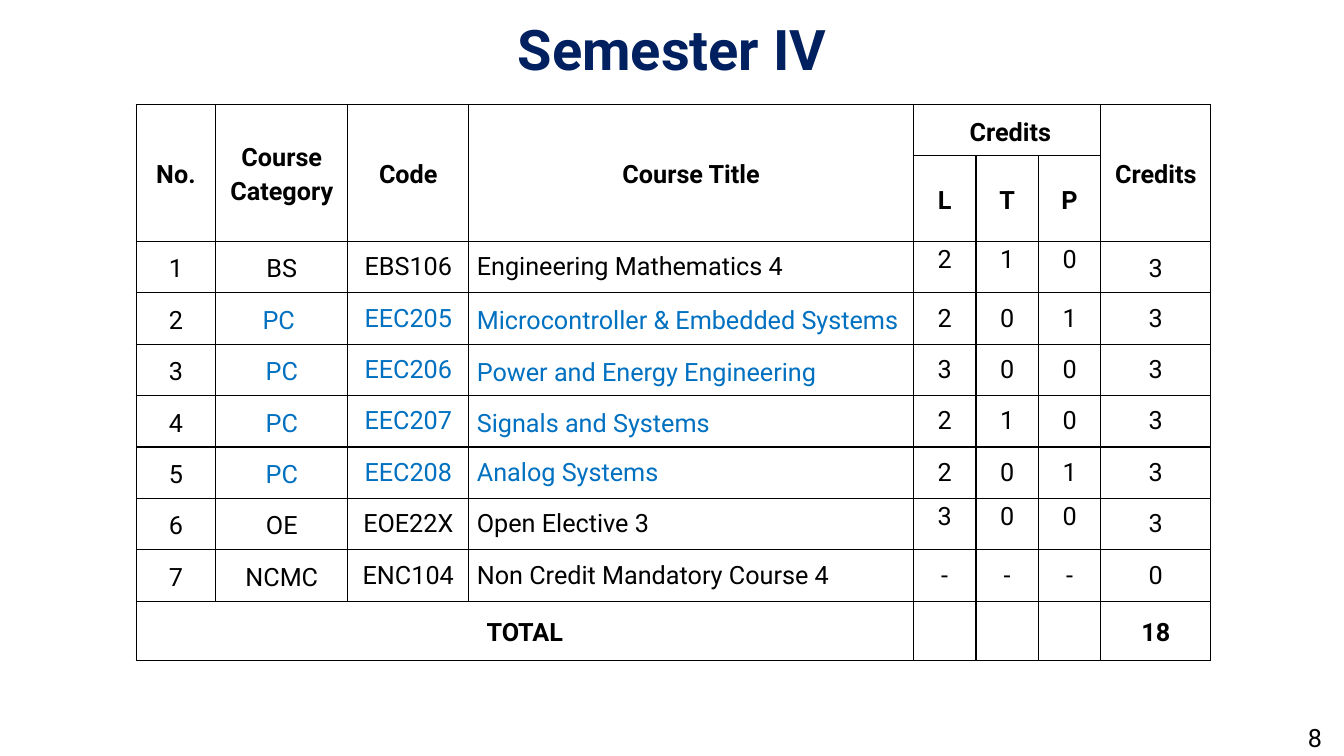
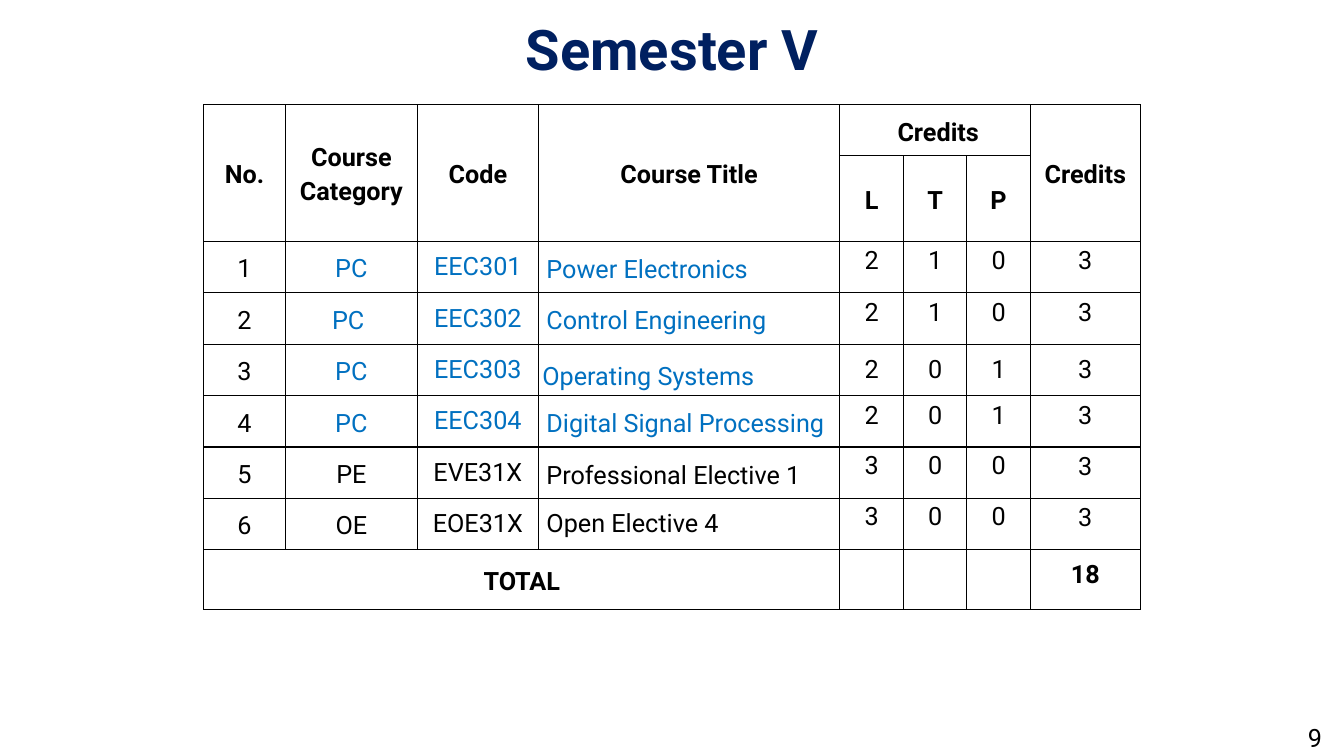
"""Build the course tables for two semesters."""
from lxml import etree
from pptx import Presentation, util as u
from pptx.dml.color import RGBColor
from pptx.enum import text
from pptx.oxml import ns

FONT, BLACK, WHITE, NAVY, BLUE = "Roboto", "000000", "FFFFFF", "002060", "0070C0"
LEFT, MID, RIGHT = text.PP_ALIGN.LEFT, text.PP_ALIGN.CENTER, text.PP_ALIGN.RIGHT
CENTER, BASE = text.MSO_ANCHOR.MIDDLE, text.MSO_ANCHOR.BOTTOM
WIDE, TIGHT, SNUG, FULL = 1.15, u.Pt(11.2), u.Pt(12.8), None
PAD, HEAD, ROW, FOOT = 0.08, [0.49, 0.83], 0.51, 0.59
TITLES = ["No.", "Course\nCategory", "Code", "Course Title", " Credits", "", "", "Credits"]


def tint(code):
    """Return the colour of a hex string."""
    return RGBColor.from_string(code)


def assign(item, **values):
    """Set each named attribute of an item."""
    for name, value in values.items():
        setattr(item, name, value)


class Deck:
    """Hold the style and the current slide."""

    def __init__(self):
        """Start a wide presentation."""
        self.show = Presentation()
        assign(self.show, slide_width=u.Inches(13.33), slide_height=u.Inches(7.5))

    def page(self, title, number):
        """Add a slide with its title and number."""
        self.slide = self.show.slides.add_slide(self.show.slide_layouts[5])
        head = self.slide.shapes.title
        self.place(head, 0, 0, 13.33, 1.04)
        assign(head.text_frame, vertical_anchor=CENTER, word_wrap=True,
               auto_size=text.MSO_AUTO_SIZE.NONE)
        self.label(head.text_frame, title, 40, NAVY, True, MID, 0.9)
        box = self.slide.shapes.add_textbox(0, 0, 0, 0)
        self.place(box, 10.21, 7.12, 3, 0.4)
        box.text_frame.word_wrap = True
        self.label(box.text_frame, str(number), align=RIGHT)

    def place(self, shape, left, top, width, height):
        """Move and size a shape in inches."""
        assign(shape, left=u.Inches(left), top=u.Inches(top),
               width=u.Inches(width), height=u.Inches(height))

    def label(self, frame, words, size=18, color=BLACK, bold=False, align=MID, gap=FULL):
        """Fill a text frame, one paragraph a line."""
        frame.text = words
        for para in frame.paragraphs:
            assign(para, alignment=align, line_spacing=gap)
            for font in [para.font] + [run.font for run in para.runs]:
                assign(font, name=FONT, size=u.Pt(size), bold=bold)
                font.color.rgb = tint(color)

    def border(self, cell):
        """Draw a thin black line on each side of a cell."""
        props = cell._tc.get_or_add_tcPr()
        for side in ("a:lnL", "a:lnR", "a:lnT", "a:lnB"):
            line = etree.SubElement(props, ns.qn(side), w=str(u.Pt(1)))
            fill = etree.SubElement(line, ns.qn("a:solidFill"))
            etree.SubElement(fill, ns.qn("a:srgbClr"), val=BLACK)

    def fill(self, cell, words, pad=PAD, anchor=CENTER, **style):
        """Fill a table cell with styled words."""
        side = u.Inches(pad)
        assign(cell, vertical_anchor=anchor, margin_left=side, margin_right=side,
               margin_top=side, margin_bottom=side)
        self.label(cell.text_frame, words, **style)

    def table(self, left, widths, rows, total):
        """Add a course table with merged header and total."""
        tall = HEAD + [ROW] * len(rows) + [FOOT]
        grid = self.slide.shapes.add_table(
            len(tall), len(widths), u.Inches(left), u.Inches(1.04),
            u.Inches(sum(widths)), u.Inches(sum(tall))).table
        assign(grid, first_row=False, horz_banding=False)
        for col, width in zip(grid.columns, widths):
            col.width = u.Inches(width)
        for row, height in zip(grid.rows, tall):
            row.height = u.Inches(height)
        for cell in grid.iter_cells():
            self.border(cell)
            cell.fill.solid()
            cell.fill.fore_color.rgb = tint(WHITE)
        last = len(tall) - 1
        for col in (0, 1, 2, 3, 7):
            grid.cell(0, col).merge(grid.cell(1, col))
        grid.cell(0, 4).merge(grid.cell(0, 6))
        grid.cell(last, 0).merge(grid.cell(last, 3))
        bold = {"bold": True, "gap": WIDE}
        for col, words in enumerate(TITLES):
            if words:
                self.fill(grid.cell(0, col), words, **bold)
        for col, words in enumerate("LTP", 4):
            self.fill(grid.cell(1, col), words, **bold)
        for at, row in enumerate(rows, 2):
            self.course(grid, at, *row)
        self.fill(grid.cell(last, 0), "TOTAL", **bold)
        self.fill(grid.cell(last, 7), "18", bold=True, gap=total)

    def course(self, grid, at, line, anchor, gap, end, pad=PAD):
        """Fill one course row."""
        words = line.split("|")
        hue = BLUE if words[1].strip() == "PC" else BLACK
        gaps = [WIDE, WIDE, FULL, FULL, gap, gap, gap, end]
        for col, word in enumerate(words):
            name = col == 3
            self.fill(grid.cell(at, col), word, pad if col > 2 else PAD,
                      anchor if name else CENTER,
                      color=hue if col in (1, 2, 3) else BLACK,
                      align=LEFT if name else MID, gap=gaps[col])


FOUR = [
    ("1|BS|EBS106|Engineering Mathematics 4|2|1|0|3", CENTER, TIGHT, WIDE),
    ("2|PC |EEC205|Microcontroller & Embedded Systems|2|0|1|3", BASE, FULL, FULL),
    ("3|PC|EEC206|Power and Energy Engineering|3|0|0|3", BASE, FULL, FULL),
    ("4|PC|EEC207|Signals and Systems|2|1|0|3", BASE, FULL, FULL),
    ("5|PC|EEC208|Analog Systems|2|0|1|3", CENTER, FULL, FULL),
    ("6|OE|EOE22X|Open Elective 3|3|0|0|3", CENTER, TIGHT, FULL),
    ("7|NCMC|ENC104|Non Credit Mandatory Course 4|-|-|-|0", CENTER, FULL, FULL),
]
FIVE = [
    ("1|PC|EEC301|Power Electronics|2|1|0|3", BASE, SNUG, SNUG),
    ("2|PC |EEC302|Control Engineering|2|1|0|3", BASE, SNUG, SNUG),
    ("3|PC|EEC303|Operating Systems|2|0|1|3", BASE, FULL, FULL, 0.04),
    ("4|PC|EEC304|Digital Signal Processing|2|0|1|3", BASE, SNUG, SNUG),
    ("5|PE|EVE31X|Professional Elective 1|3|0|0|3", BASE, TIGHT, SNUG),
    ("6|OE|EOE31X|Open Elective 4|3|0|0|3", CENTER, TIGHT, SNUG),
]


def main():
    """Build and save the slides."""
    deck = Deck()
    deck.page("Semester IV", 8)
    deck.table(1.35, [0.79, 1.31, 1.2, 4.41, 0.62, 0.62, 0.62, 1.09], FOUR, WIDE)
    deck.page("Semester V", 9)
    deck.table(2.02, [0.81, 1.31, 1.2, 2.99, 0.63, 0.63, 0.63, 1.09], FIVE, u.Pt(14.2))
    deck.show.save("out.pptx")


if __name__ == "__main__":
    main()
